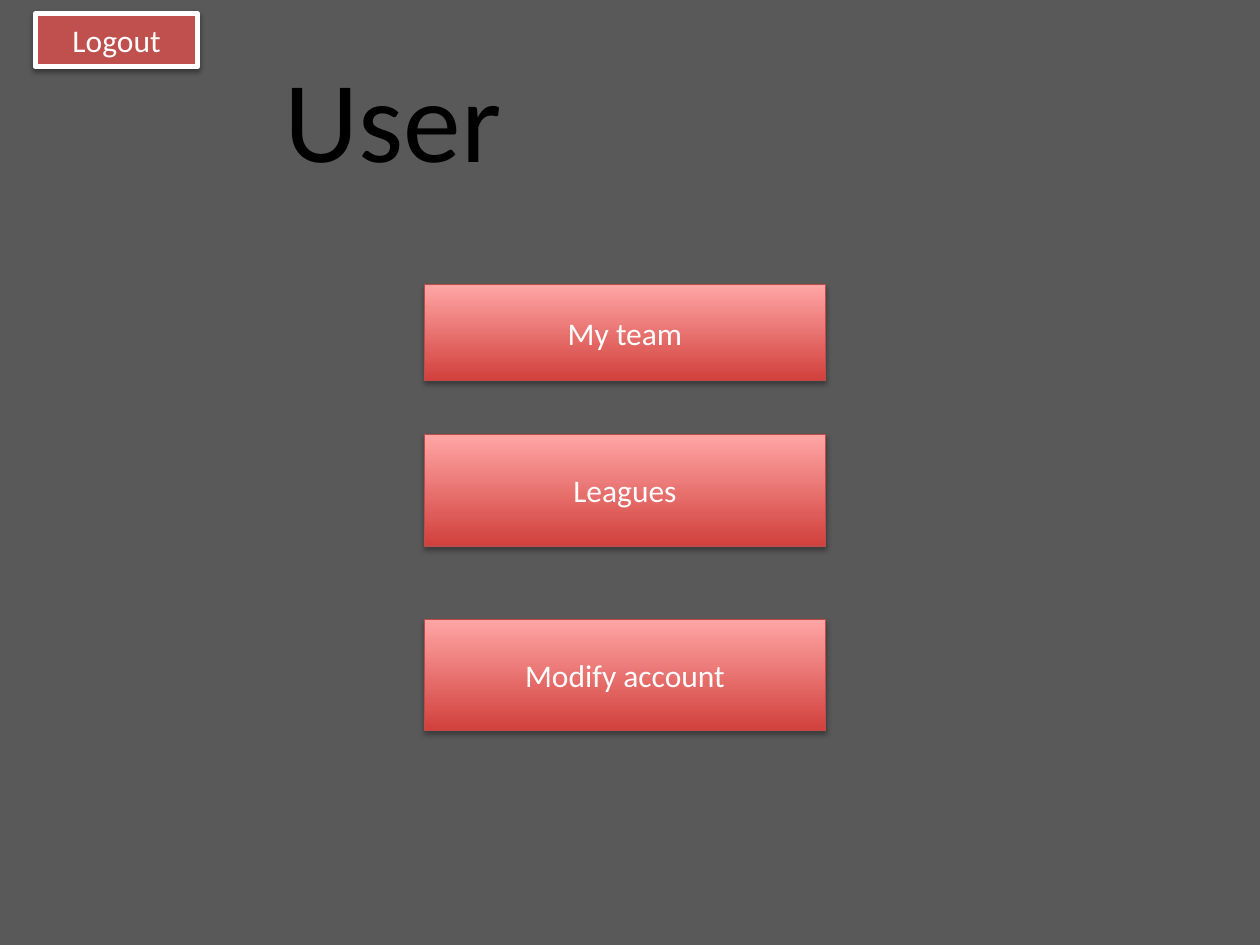
from dataclasses import dataclass

from lxml import etree
from pptx import Presentation
from pptx.dml.color import RGBColor
from pptx.enum.shapes import MSO_SHAPE
from pptx.enum.text import MSO_ANCHOR, MSO_AUTO_SIZE, PP_ALIGN
from pptx.oxml.ns import qn
from pptx.util import Inches, Pt

RECT = MSO_SHAPE.RECTANGLE
TOP, MID = MSO_ANCHOR.TOP, MSO_ANCHOR.MIDDLE
LEFT, CENTER = PP_ALIGN.LEFT, PP_ALIGN.CENTER
GROW = MSO_AUTO_SIZE.SHAPE_TO_FIT_TEXT
WIDE, HIGH = 10, 7.5


@dataclass(frozen=True)
class Theme:
    font: str = "Calibri"
    back: str = "595959"
    ink: str = "000000"
    light: str = "FFFFFF"
    red: str = "C0504D"
    edge: str = "BF4C48"
    fade: tuple = ("D1403C", "FFA6A5")
    head: int = 66
    body: int = 18


THEME = Theme()


def rgb(code):
    return RGBColor.from_string(code)


def place(shape, box):
    shape.left, shape.top, shape.width, shape.height = map(Inches, box)


def write(shape, text, size=THEME.body, color=THEME.light, align=CENTER, anchor=MID):
    frame = shape.text_frame
    frame.word_wrap = True
    frame.vertical_anchor = anchor
    par = frame.paragraphs[0]
    par.alignment = align
    run = par.add_run()
    run.text = text
    run.font.name = THEME.font
    run.font.size = Pt(size)
    run.font.color.rgb = rgb(color)


def shade(shape, alpha, dist):
    """Cast a soft black shadow straight down."""
    shape.shadow.inherit = False
    effects = shape._element.spPr.find(qn("a:effectLst"))
    outer = etree.SubElement(effects, qn("a:outerShdw"), blurRad=str(Pt(3.1)),
                             dist=str(Pt(dist)), dir="5400000", rotWithShape="0")
    color = etree.SubElement(outer, qn("a:srgbClr"), val=THEME.ink)
    etree.SubElement(color, qn("a:alpha"), val=str(alpha * 1000))


def button(slide, box, text, fill, edge, width, alpha, dist):
    shape = slide.shapes.add_shape(RECT, *map(Inches, box))
    if isinstance(fill, tuple):
        shape.fill.gradient()
        shape.fill.gradient_angle = 90
        for stop, code in zip(shape.fill.gradient_stops, fill):
            stop.color.rgb = rgb(code)
    else:
        shape.fill.solid()
        shape.fill.fore_color.rgb = rgb(fill)
    shape.line.color.rgb = rgb(edge)
    shape.line.width = Pt(width)
    shade(shape, alpha, dist)
    write(shape, text)


# Page heading
def heading(slide, box, text):
    title = slide.shapes.title
    place(title, box)
    write(title, text, size=THEME.head, color=THEME.ink, align=LEFT, anchor=TOP)
    title.text_frame.auto_size = GROW


# Column of menu buttons, each with its offset and height in the box
def menu(slide, box, items):
    left, top, width, height = box
    for text, start, share in items:
        spot = (left, top + start * height, width, share * height)
        button(slide, spot, text, THEME.fade, THEME.edge, 0.75, 35, 1.8)


# Corner button
def logout(slide, box):
    button(slide, box, "Logout", THEME.red, THEME.light, 3, 38, 1.6)


def build():
    deck = Presentation()
    deck.slide_width, deck.slide_height = Inches(WIDE), Inches(HIGH)
    slide = deck.slides.add_slide(deck.slide_layouts[5])
    slide.background.fill.solid()
    slide.background.fill.fore_color.rgb = rgb(THEME.back)
    heading(slide, (2.16, 0.32, 6.39, 1.21), "User")
    logout(slide, (0.28, 0.11, 1.29, 0.42))
    menu(slide, (3.37, 2.26, 3.18, 3.54), [
        ("My team", 0, 0.215),
        ("Leagues", 0.336, 0.25),
        ("Modify account", 0.75, 0.25),
    ])
    deck.save("out.pptx")


build()
